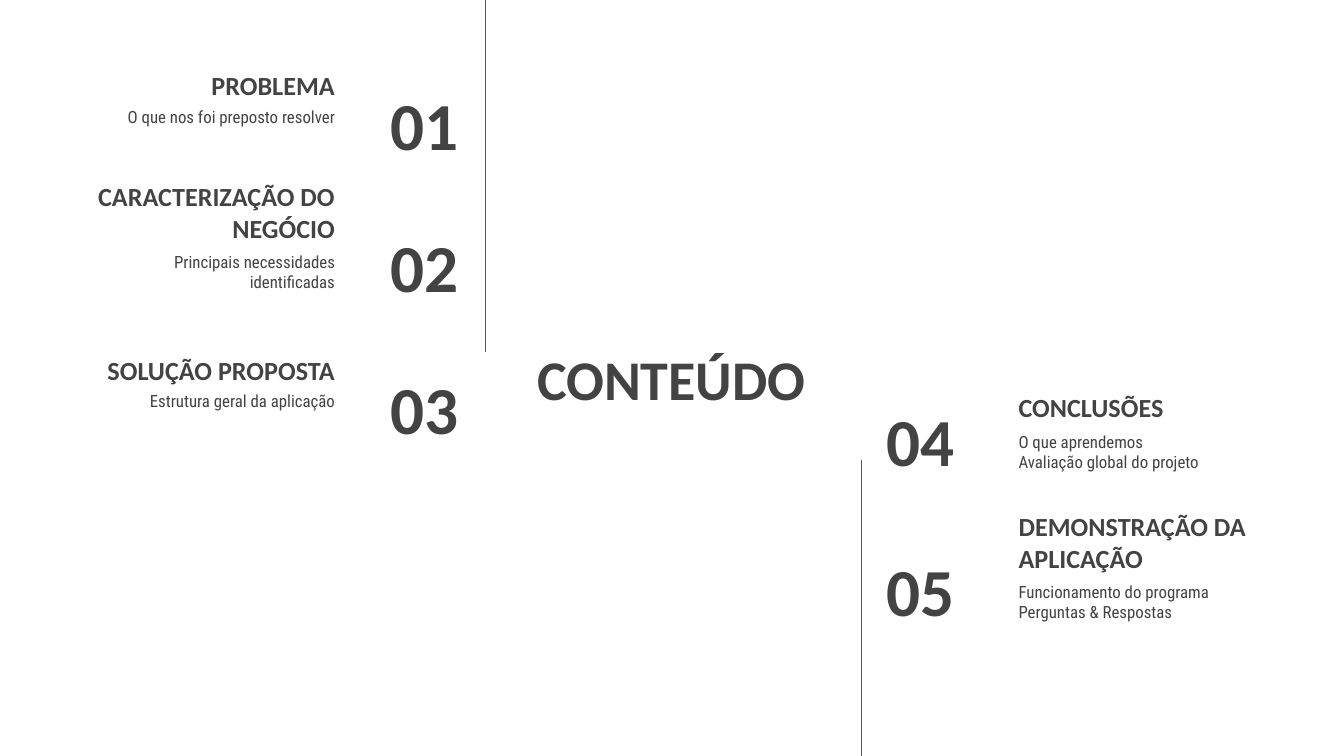
from dataclasses import dataclass

from lxml.etree import SubElement
from pptx import Presentation
from pptx.dml.color import RGBColor
from pptx.enum.shapes import MSO_CONNECTOR
from pptx.enum.text import MSO_ANCHOR, PP_ALIGN
from pptx.oxml.ns import qn
from pptx.util import Cm, Pt


@dataclass(frozen=True)
class Theme:
    text: RGBColor = RGBColor(0x43, 0x43, 0x43)
    rule: RGBColor = RGBColor(0x59, 0x59, 0x59)
    background: RGBColor = RGBColor(0xFF, 0xFF, 0xFF)
    heading_font: str = "Calibri"
    body_font: str = "Roboto Condensed"
    title_size: int = 30
    number_size: int = 36
    heading_size: int = 14
    body_size: int = 9
    rule_width: float = 0.75


theme = Theme()
WIDTH, HEIGHT = 25.4, 14.29
ROW_HEIGHT = 1.6
HEADING_WIDTH, BODY_WIDTH = 5.49, 4.65
BODY_OFFSET = 1.26


def add_text(text, left, top, width, height, size, alignment, anchor, heading=True):
    box = slide.shapes.add_textbox(Cm(left), Cm(top), Cm(width), Cm(height))
    frame = box.text_frame
    frame.word_wrap = True
    frame.vertical_anchor = anchor
    frame.margin_left = frame.margin_right = Cm(0.25)
    frame.margin_top = frame.margin_bottom = Cm(0.25)
    frame.text = text
    for paragraph in frame.paragraphs:
        paragraph.alignment = alignment
        for run in paragraph.runs:
            run.font.name = theme.heading_font if heading else theme.body_font
            run.font.size = Pt(size)
            run.font.bold = heading
            run.font.color.rgb = theme.text


# Slide
presentation = Presentation()
presentation.slide_width = Cm(WIDTH)
presentation.slide_height = Cm(HEIGHT)
slide = presentation.slides.add_slide(presentation.slide_layouts[6])
slide.background.fill.solid()
slide.background.fill.fore_color.rgb = theme.background

# Vertical rules
for x, top, bottom in [(9.17, 0, 6.65), (16.28, 8.69, HEIGHT)]:
    connector = slide.shapes.add_connector(
        MSO_CONNECTOR.STRAIGHT, Cm(x), Cm(top), Cm(x), Cm(bottom))
    connector.line.color.rgb = theme.rule
    connector.line.width = Pt(theme.rule_width)
    SubElement(connector.element.spPr, qn("a:effectLst"))

# Main title
add_text("CONTEÚDO", 9.4, 5.84, 6.58, 2.62, theme.title_size,
         PP_ALIGN.CENTER, MSO_ANCHOR.MIDDLE)

# Sections: top of first row, row pitch, number position and offset, entries
left_entries = [
    ("PROBLEMA", "O que nos foi preposto resolver"),
    ("CARACTERIZAÇÃO DO NEGÓCIO", "Principais necessidades identificadas"),
    ("SOLUÇÃO PROPOSTA", "Estrutura geral da aplicação"),
]
right_entries = [
    ("CONCLUSÕES", "O que aprendemos\nAvaliação global do projeto"),
    ("DEMONSTRAÇÃO DA APLICAÇÃO", "Funcionamento do programa\nPerguntas & Respostas"),
]
columns = [
    (PP_ALIGN.RIGHT, 0.56, 2.69, 1.09, 5.85, 3.07, 0.97, left_entries),
    (PP_ALIGN.LEFT, 6.65, 2.84, 19, 16.51, 2.97, 0.86, right_entries),
]
number = 0
for (alignment, first_top, pitch, text_left, number_left, number_width,
     number_offset, entries) in columns:
    # Right-aligned bodies share the right edge of their headings
    body_left = text_left
    if alignment == PP_ALIGN.RIGHT:
        body_left += HEADING_WIDTH - BODY_WIDTH
    for row, (heading, body) in enumerate(entries):
        number += 1
        top = first_top + row * pitch
        add_text(heading, text_left, top, HEADING_WIDTH, ROW_HEIGHT,
                 theme.heading_size, alignment, MSO_ANCHOR.BOTTOM)
        add_text(body, body_left, top + BODY_OFFSET, BODY_WIDTH, ROW_HEIGHT,
                 theme.body_size, alignment, MSO_ANCHOR.TOP, heading=False)
        add_text(f"{number:02}", number_left, top + number_offset, number_width,
                 ROW_HEIGHT, theme.number_size, alignment, MSO_ANCHOR.MIDDLE)

presentation.save("out.pptx")
